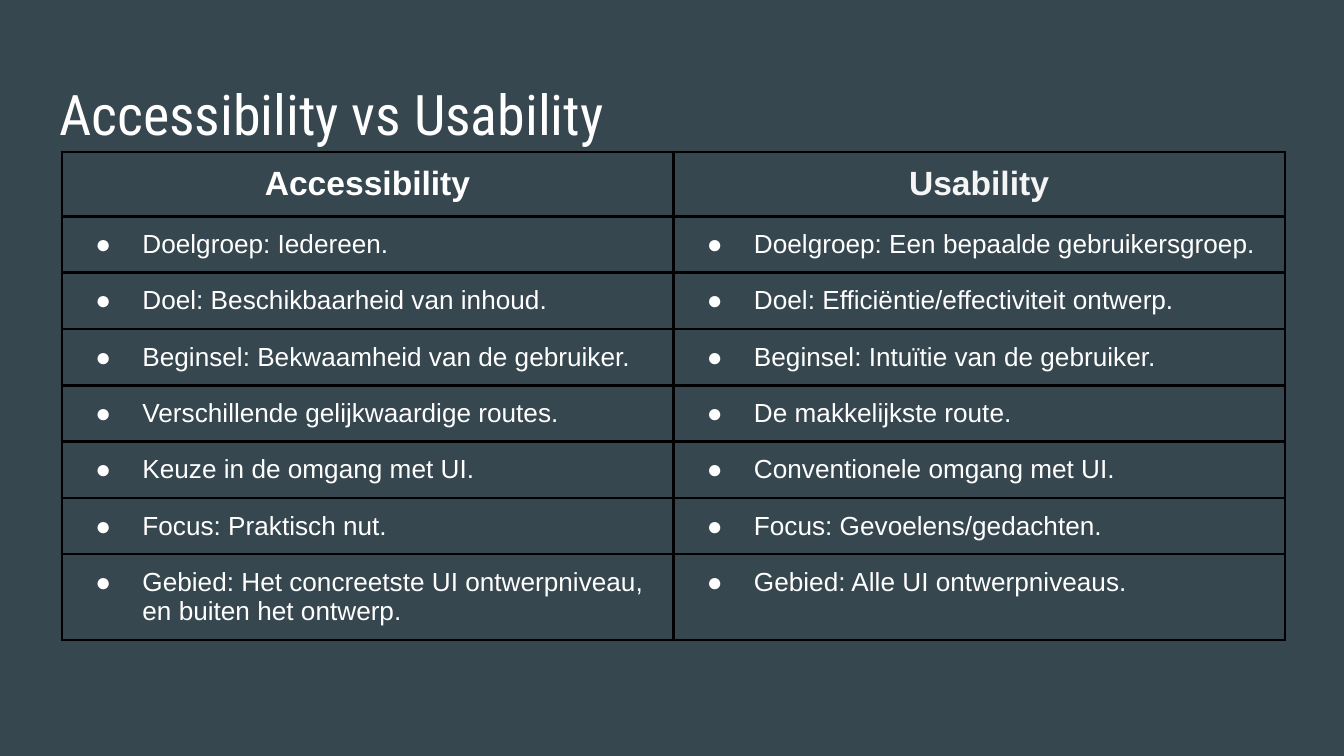
"""Build a slide with a table that compares accessibility and usability."""
from lxml.etree import SubElement
from pptx import Presentation
from pptx.dml.color import RGBColor
from pptx.enum.text import MSO_ANCHOR, MSO_AUTO_SIZE, PP_ALIGN
from pptx.oxml.ns import qn
from pptx.util import Inches, Pt

THEME = {
    "back": "37474F", "white": "FFFFFF", "pale": "F5F5F5", "line": "000000",
    "title": 30, "head": 18, "body": 14, "rule": 1.5,
    "face": "Roboto Condensed", "font": "Arial",
}
ROWS = [
    ("Accessibility", "Usability"),
    ("Doelgroep: Iedereen.", "Doelgroep: Een bepaalde gebruikersgroep."),
    ("Doel: Beschikbaarheid van inhoud.", "Doel: Efficiëntie/effectiviteit ontwerp."),
    ("Beginsel: Bekwaamheid van de gebruiker.", "Beginsel: Intuïtie van de gebruiker."),
    ("Verschillende gelijkwaardige routes.", "De makkelijkste route."),
    ("Keuze in de omgang met UI.", "Conventionele omgang met UI."),
    ("Focus: Praktisch nut.", "Focus: Gevoelens/gedachten."),
    ("Gebied: Het concreetste UI ontwerpniveau, en buiten het ontwerp.",
     "Gebied: Alle UI ontwerpniveaus."),
]
INSET = {f"margin_{side}": Inches(0.1) for side in ("left", "right", "top", "bottom")}


def assign(item, values):
    for name, value in values.items():
        setattr(item, name, value)


def write(para, text, face, size, color, bold=False):
    run = para.add_run()
    run.text = text
    assign(run.font, {"name": face, "size": Pt(size), "bold": bold})
    run.font.color.rgb = RGBColor.from_string(color)


deck = Presentation()
assign(deck, {"slide_width": Inches(10), "slide_height": Inches(10) * 9 // 16})
slide = deck.slides.add_slide(deck.slide_layouts[5])
slide.background.fill.solid()
slide.background.fill.fore_color.rgb = RGBColor.from_string(THEME["back"])

title = slide.shapes.title
assign(title, {"left": Inches(0.34), "top": Inches(0.49),
               "width": Inches(9.32), "height": Inches(0.63)})
assign(title.text_frame, {**INSET, "word_wrap": True, "auto_size": MSO_AUTO_SIZE.NONE,
                          "vertical_anchor": MSO_ANCHOR.TOP})
para = title.text_frame.paragraphs[0]
para.alignment = PP_ALIGN.LEFT
write(para, "Accessibility vs Usability", THEME["face"], THEME["title"], THEME["white"])

frame = slide.shapes.add_table(len(ROWS), 2, Inches(0.46), Inches(1.13),
                               Inches(9.1), Inches(2.6))
table = frame.table
assign(table, {"first_row": False, "horz_banding": False})
for col in table.columns:
    col.width = Inches(4.55)

for i, texts in enumerate(ROWS):
    table.rows[i].height = Inches(0.32 if i else 0.36)
    for j, text in enumerate(texts):
        cell = table.cell(i, j)
        assign(cell, {**INSET, "vertical_anchor": MSO_ANCHOR.TOP})
        props = cell._tc.get_or_add_tcPr()
        for edge in ("lnL", "lnR", "lnT", "lnB"):
            line = SubElement(props, qn(f"a:{edge}"), w=str(Pt(THEME["rule"])))
            paint = SubElement(line, qn("a:solidFill"))
            SubElement(paint, qn("a:srgbClr"), val=THEME["line"])
        cell.fill.background()
        para = cell.text_frame.paragraphs[0]
        if i == 0:
            para.alignment = PP_ALIGN.CENTER
            color = THEME["pale" if j else "white"]
            write(para, text, THEME["font"], THEME["head"], color, True)
        else:
            para.alignment = PP_ALIGN.LEFT
            style = para._p.get_or_add_pPr()
            style.set("marL", str(Inches(0.5)))
            style.set("indent", str(Inches(-0.35)))
            tint = SubElement(style, qn("a:buClr"))
            SubElement(tint, qn("a:srgbClr"), val=THEME["white"])
            SubElement(style, qn("a:buFont"), typeface=THEME["font"])
            SubElement(style, qn("a:buChar"), char="●")
            write(para, text, THEME["font"], THEME["body"], THEME["white"])

deck.save("out.pptx")
